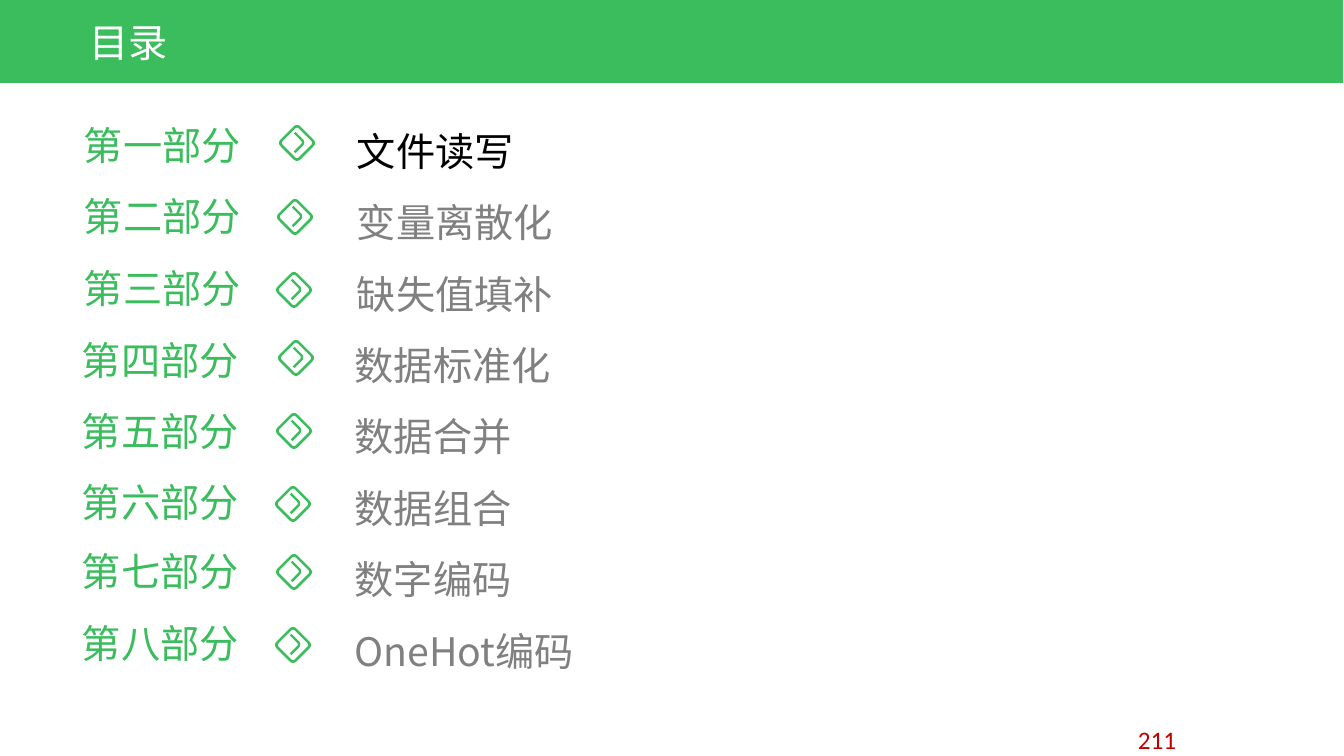
from math import cos, radians, sin

from pptx import Presentation
from pptx import util as u
from pptx.dml.color import RGBColor
from pptx.enum import shapes, text
from pptx.oxml import ns
from lxml import etree

PX = 914400 / 100.8
GREEN, GRAY, BLACK, WHITE, RED = "3BBC5D", "808080", "000000", "FFFFFF", "C00000"
CJK = "Noto Sans CJK SC"
TOPIC_TOP, TOPIC_STEP = 108, 71.4

SECTIONS = [
    ("第一部分", "文件读写", 74, 116, 283, 129),
    ("第二部分", "变量离散化", 74, 187, 281, 203),
    ("第三部分", "缺失值填补", 74, 259, 280, 276),
    ("第四部分", "数据标准化", 72, 331, 282, 344),
    ("第五部分", "数据合并", 72, 402, 280, 417),
    ("第六部分", "数据组合", 72, 473, 279, 490),
    ("第七部分", "数字编码", 72, 542, 280, 558),
    ("第八部分", "OneHot编码", 72, 614, 279, 631),
]


def px(length):
    """Turn pixels into EMU."""
    return u.Emu(round(length * PX))


def rgb(value):
    """Turn a hex string into a colour."""
    return RGBColor.from_string(value)


def paint(part, color):
    """Give a shape a flat fill without line or shadow."""
    part.shadow.inherit = False
    part.fill.solid()
    part.fill.fore_color.rgb = rgb(color)
    part.line.fill.background()


def add_run(paragraph, words, size, color, font=CJK):
    """Add one formatted run with its Latin and East Asian font."""
    run = paragraph.add_run()
    run.text = words
    run.font.size = u.Pt(size)
    run.font.color.rgb = rgb(color)
    run.font.name = font
    east_asian = etree.SubElement(run.font._element, ns.qn("a:ea"))
    east_asian.set("typeface", font)


def add_words(slide, box, words, size, color, font=CJK, wrap=True, spacing=None):
    """Add a one-line text box."""
    frame = slide.shapes.add_textbox(*map(px, box)).text_frame
    frame.word_wrap = wrap
    paragraph = frame.paragraphs[0]
    if spacing:
        paragraph.line_spacing = spacing
    add_run(paragraph, words, size, color, font)


def arc(cx, cy, radius, start, end):
    """List points along an arc, angles clockwise from the right."""
    turn = (end - start) / 6
    angles = [radians(start + turn * i) for i in range(7)]
    return [(cx + radius * cos(a), cy + radius * sin(a)) for a in angles]


def rounded_square(inset, side, radius):
    """List the outline of a rounded square."""
    low, high = inset + radius, inset + side - radius
    corners = [(high, low, -90), (high, high, 0), (low, high, 90), (low, low, 180)]
    return [point for cx, cy, start in corners
            for point in arc(cx, cy, radius, start, start + 90)]


def add_outline(slide, left, top, contours):
    """Draw closed contours as one green shape turned by 45 degrees."""
    grid = [[(round(x * 100), round(y * 100)) for x, y in c] for c in contours]
    builder = slide.shapes.build_freeform(*grid[0][0], scale=PX / 100)
    builder.add_line_segments(grid[0][1:], close=True)
    for contour in grid[1:]:
        builder.move_to(*contour[0])
        builder.add_line_segments(contour[1:], close=True)
    outline = builder.convert_to_shape(px(left), px(top))
    outline.rotation = 45
    paint(outline, GREEN)


def add_marker(slide, left, top):
    """Draw a diamond ring with a chevron in it."""
    chevron = [(0, 0), *arc(10.5, 4.5, 4.5, -90, 0), (15, 15), (12.6, 15),
               *arc(10.5, 4.5, 2.1, 0, -90), (0, 2.4)]
    ring = [rounded_square(0, 28, 4.5), rounded_square(2.5, 23, 2.5)[::-1]]
    add_outline(slide, left + 5, top + 6, [chevron])
    add_outline(slide, left, top, ring)


def add_header(slide):
    """Draw the green band and put the title on it."""
    band = slide.shapes.add_shape(shapes.MSO_SHAPE.RECTANGLE,
                                  px(-1), px(-3), px(1344), px(86))
    paint(band, GREEN)
    slide.shapes._spTree.insert(2, band._element)
    title = slide.shapes.title
    title.left, title.top, title.width, title.height = map(px, (79, 13, 536, 58))
    frame = title.text_frame
    frame.auto_size = text.MSO_AUTO_SIZE.NONE
    frame.vertical_anchor = text.MSO_ANCHOR.MIDDLE
    frame.paragraphs[0].alignment = text.PP_ALIGN.LEFT
    add_run(frame.paragraphs[0], "目录", 28, WHITE)


def main():
    """Build the contents slide."""
    deck = Presentation()
    deck.slide_width, deck.slide_height = px(1344), px(756)
    slide = deck.slides.add_slide(deck.slide_layouts[5])
    add_header(slide)
    add_words(slide, (1128, 719, 302, 40), "211", 18, RED, "Calibri")
    for i, (part, topic, left, top, marker_left, marker_top) in enumerate(SECTIONS):
        add_words(slide, (left, top, 178, 57), part, 28, GREEN, wrap=False)
        add_words(slide, (left + 273, TOPIC_TOP + i * TOPIC_STEP, 319, 72),
                  topic, 28, GRAY if i else BLACK, spacing=1.3)
        add_marker(slide, marker_left, marker_top)
    deck.save("out.pptx")


if __name__ == "__main__":
    main()
